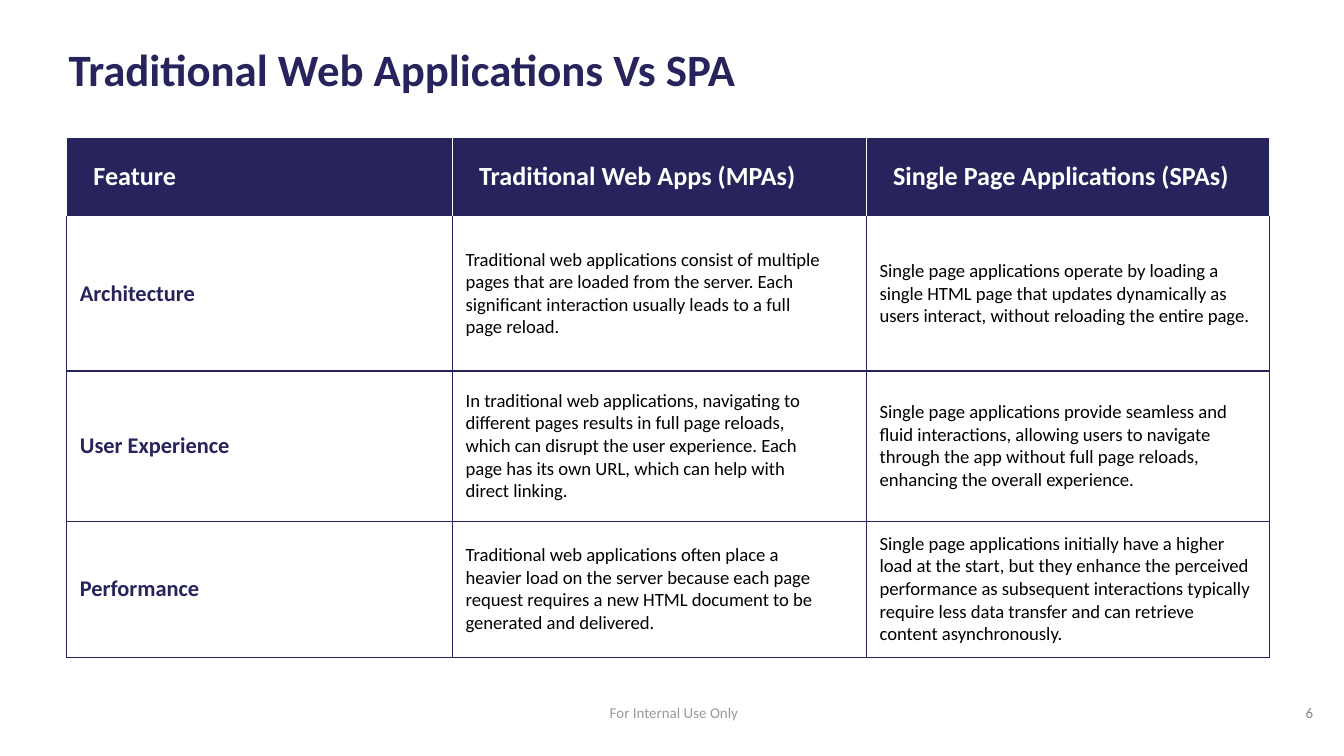
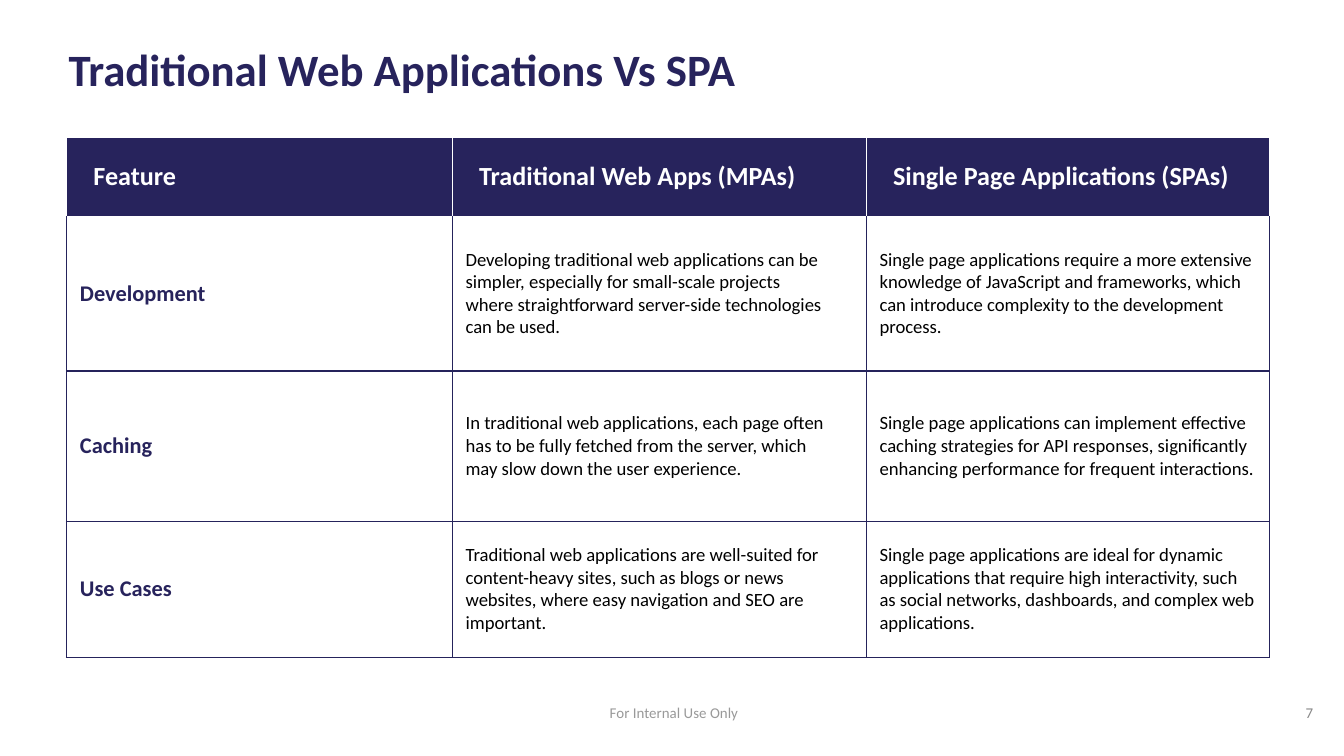
import dataclasses

import lxml.etree
import pptx
import pptx.dml.color
import pptx.enum.text
import pptx.oxml.ns
import pptx.util

RGBColor = pptx.dml.color.RGBColor
Align = pptx.enum.text.PP_ALIGN
Anchor = pptx.enum.text.MSO_ANCHOR

NAVY = RGBColor(0x27, 0x23, 0x5C)
RULE = RGBColor(0x25, 0x23, 0x5B)
WHITE = RGBColor(0xFF, 0xFF, 0xFF)
BLACK = RGBColor(0x00, 0x00, 0x00)
GREY = RGBColor(0x99, 0x99, 0x99)
SLATE = RGBColor(0x88, 0x88, 0x88)

FACE = "Calibri"
WIDE = pptx.util.Inches(10)
HIGH = WIDE * 9 // 16
GRID_COLS = 1000
GRID_ROWS = GRID_COLS * 9 / 16
TABLE_LEFT, TABLE_TOP = 49.5, 102
COL_SPANS = (287, 308, 300)
ROW_SPANS = (59, 115, 112, 101)
RULE_WIDTH = pptx.util.Pt(0.75)


@dataclasses.dataclass(frozen=True)
class Style:
    size: int
    color: RGBColor
    bold: bool = False
    align: Align = Align.LEFT


@dataclasses.dataclass(frozen=True)
class Box:
    left: int
    top: int
    width: int
    height: int
    style: Style
    inset: int = 0
    anchor: Anchor = Anchor.MIDDLE


@dataclasses.dataclass(frozen=True)
class Page:
    number: int
    rows: tuple[tuple[str, str, str], ...]


TITLE = Box(51, 31, 898, 68, Style(24, NAVY, True), anchor=Anchor.TOP)
FOOTER = Box(414, 517, 175, 26, Style(8, GREY, align=Align.CENTER))
NUMBER = Box(927, 515, 60, 30, Style(8, SLATE, align=Align.RIGHT), inset=10)

HEAD = Style(14, WHITE, True)
LABEL = Style(12, NAVY, True)
BODY = Style(10, BLACK)

HEADER = ("Feature", "Traditional Web Apps (MPAs)", "Single Page Applications (SPAs)")

PAGES = (
    Page(6, (
        ("Architecture",
         "Traditional web applications consist of multiple pages that are loaded from the server. "
         "Each significant interaction usually leads to a full page reload.",
         "Single page applications operate by loading a single HTML page that updates dynamically "
         "as users interact, without reloading the entire page."),
        ("User Experience",
         "In traditional web applications, navigating to different pages results in full page "
         "reloads, which can disrupt the user experience. Each page has its own URL, which can "
         "help with direct linking.",
         "Single page applications provide seamless and fluid interactions, allowing users to "
         "navigate through the app without full page reloads, enhancing the overall experience."),
        ("Performance",
         "Traditional web applications often place a heavier load on the server because each page "
         "request requires a new HTML document to be generated and delivered.",
         "Single page applications initially have a higher load at the start, but they enhance "
         "the perceived performance as subsequent interactions typically require less data "
         "transfer and can retrieve content asynchronously."),
    )),
    Page(7, (
        ("Development",
         "Developing traditional web applications can be simpler, especially for small-scale "
         "projects where straightforward server-side technologies can be used.",
         "Single page applications require a more extensive knowledge of JavaScript and "
         "frameworks, which can introduce complexity to the development process."),
        ("Caching",
         "In traditional web applications, each page often has to be fully fetched from the "
         "server, which may slow down the user experience.",
         "Single page applications can implement effective caching strategies for API responses, "
         "significantly enhancing performance for frequent interactions."),
        ("Use Cases",
         "Traditional web applications are well-suited for content-heavy sites, such as blogs or "
         "news websites, where easy navigation and SEO are important.",
         "Single page applications are ideal for dynamic applications that require high "
         "interactivity, such as social networks, dashboards, and complex web applications."),
    )),
)


def across(cols: float) -> int:
    return round(WIDE * cols / GRID_COLS)


def down(rows: float) -> int:
    return round(HIGH * rows / GRID_ROWS)


def write(frame, text: str, style: Style) -> None:
    frame.text = text
    line = frame.paragraphs[0]
    line.alignment = style.align
    for run in line.runs:
        run.font.name = FACE
        run.font.size = pptx.util.Pt(style.size)
        run.font.bold = style.bold
        run.font.color.rgb = style.color


def draw_box(slide, box: Box, text: str) -> None:
    shape = slide.shapes.add_textbox(
        across(box.left), down(box.top), across(box.width), down(box.height))
    frame = shape.text_frame
    frame.word_wrap = True
    frame.vertical_anchor = box.anchor
    frame.margin_left = frame.margin_right = across(box.inset)
    frame.margin_top = frame.margin_bottom = down(box.inset)
    write(frame, text, box.style)


def edge(cell, side: str, color: RGBColor) -> None:
    qn = pptx.oxml.ns.qn
    props = cell._tc.get_or_add_tcPr()
    line = lxml.etree.SubElement(props, qn(f"a:ln{side}"), w=str(int(RULE_WIDTH)))
    fill = lxml.etree.SubElement(line, qn("a:solidFill"))
    lxml.etree.SubElement(fill, qn("a:srgbClr"), val=str(color))


def draw_cell(cell, row: int, col: int, text: str) -> None:
    is_head = row == 0
    style = HEAD if is_head else LABEL if col == 0 else BODY
    write(cell.text_frame, text, style)
    cell.vertical_anchor = Anchor.MIDDLE
    cell.margin_left = across(20 if is_head else 10)
    cell.margin_right = across(30 if col == 1 and not is_head else 10)
    cell.margin_top = cell.margin_bottom = down(5)
    for side in "LRTB":
        is_white = is_head or (row == 1 and side == "T")
        edge(cell, side, WHITE if is_white else RULE)
    if is_head:
        cell.fill.solid()
        cell.fill.fore_color.rgb = NAVY
    else:
        cell.fill.background()


def draw_table(slide, rows: tuple[tuple[str, str, str], ...]) -> None:
    table = slide.shapes.add_table(
        len(ROW_SPANS), len(COL_SPANS), across(TABLE_LEFT), down(TABLE_TOP),
        across(sum(COL_SPANS)), down(sum(ROW_SPANS))).table
    table.first_row = table.horz_banding = False
    for col, span in zip(table.columns, COL_SPANS):
        col.width = across(span)
    for row, span in zip(table.rows, ROW_SPANS):
        row.height = down(span)
    for r, texts in enumerate((HEADER, *rows)):
        for c, text in enumerate(texts):
            draw_cell(table.cell(r, c), r, c, text)


def main() -> None:
    deck = pptx.Presentation()
    deck.slide_width, deck.slide_height = WIDE, HIGH
    for page in PAGES:
        slide = deck.slides.add_slide(deck.slide_layouts[6])
        draw_box(slide, FOOTER, "For Internal Use Only")
        draw_box(slide, TITLE, "Traditional Web Applications Vs SPA")
        draw_table(slide, page.rows)
        draw_box(slide, NUMBER, str(page.number))
    deck.save("out.pptx")


if __name__ == "__main__":
    main()
